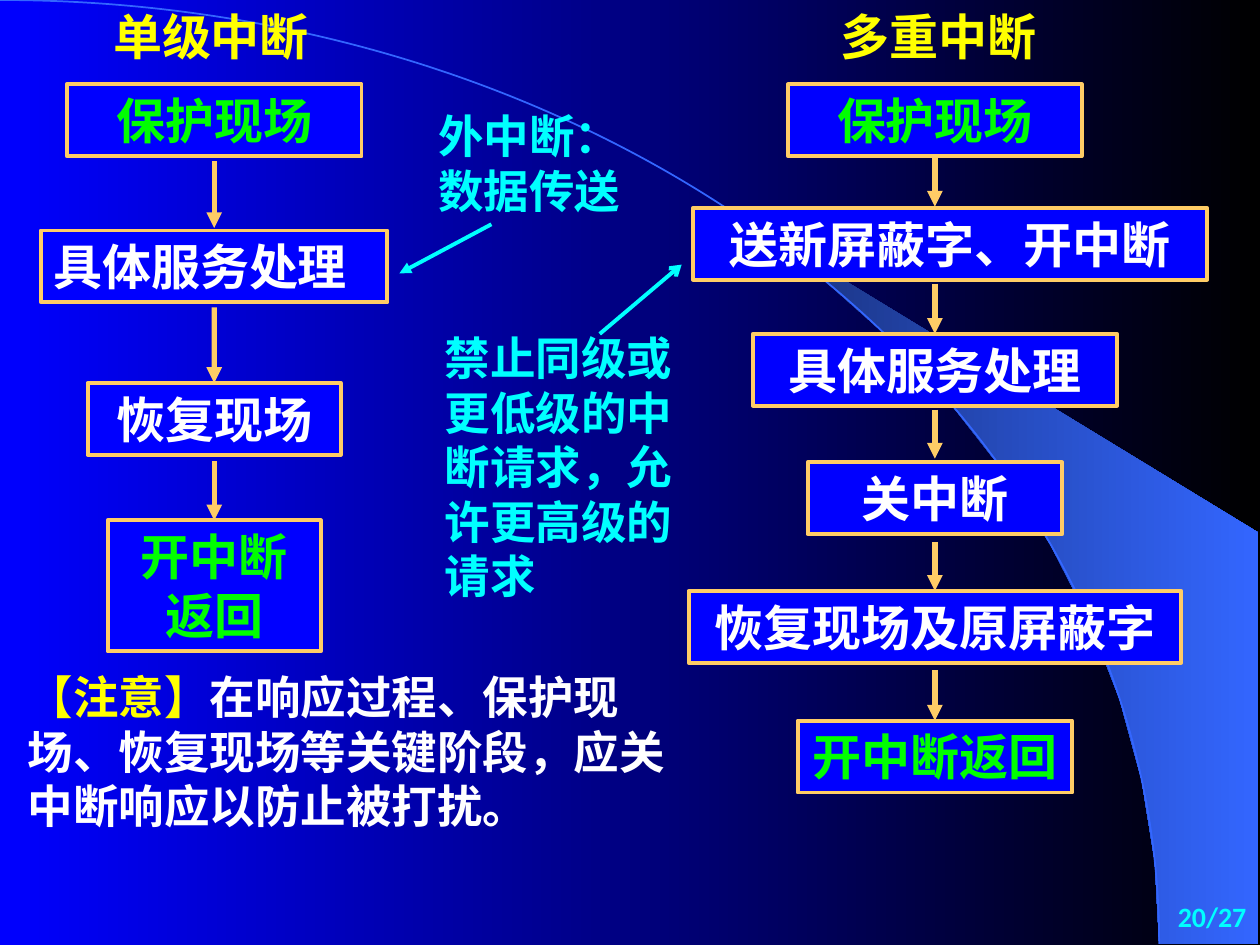
from math import cos, radians, sin

from lxml import etree
from pptx import Presentation
from pptx.dml.color import RGBColor
from pptx.enum import shapes, text
from pptx.oxml.ns import qn
from pptx.util import Inches, Pt

CJK = "Noto Sans CJK SC"
BLUE, GOLD, CYAN = "0000FF", "FFCC66", "00FFFF"
YELLOW, GREEN, WHITE = "FFFF00", "00FF00", "FFFFFF"
BOX_HEIGHT = 0.57


def rgb(value):
    return RGBColor.from_string(value)


def fill_gradient(fill, start, end):
    fill.gradient()
    fill.gradient_angle = 0
    for stop, color in zip(fill.gradient_stops, (start, end)):
        stop.color.rgb = rgb(color)


def write(shape, paragraphs, size, align="LEFT", font=CJK):
    """Fill a shape with paragraphs, each a list of (text, colour) runs."""
    frame = shape.text_frame
    frame.word_wrap = True
    frame.vertical_anchor = text.MSO_ANCHOR.TOP
    frame.margin_left = frame.margin_right = Inches(0.1)
    frame.margin_top = frame.margin_bottom = Inches(0.05)
    for index, runs in enumerate(paragraphs):
        paragraph = frame.paragraphs[0] if index == 0 else frame.add_paragraph()
        paragraph.alignment = text.PP_ALIGN[align]
        paragraph.line_spacing = Pt(size * 1.2)
        # Punctuation stays inside the margins
        paragraph._p.get_or_add_pPr().set("hangingPunct", "0")
        for words, color in runs:
            run = paragraph.add_run()
            run.text = words
            run.font.size, run.font.bold = Pt(size), True
            run.font.name = font
            run.font.color.rgb = rgb(color)
            east_asian = etree.SubElement(run.font._element, qn("a:ea"))
            east_asian.set("typeface", CJK)


def add_text(slide, box, paragraphs, size, **options):
    label = slide.shapes.add_textbox(*map(Inches, box))
    write(label, paragraphs, size, **options)


def add_arrow(slide, start, end, color, width, head="triangle"):
    arrow = slide.shapes.add_connector(
        shapes.MSO_CONNECTOR.STRAIGHT, *map(Inches, (*start, *end)))
    arrow.line.color.rgb = rgb(color)
    arrow.line.width = Pt(width)
    etree.SubElement(arrow.line._get_or_add_ln(), qn("a:tailEnd")).set("type", head)
    etree.SubElement(arrow._element.spPr, qn("a:effectLst"))
    return arrow


def add_step(slide, box, words, color, align="CENTER"):
    step = slide.shapes.add_shape(shapes.MSO_SHAPE.RECTANGLE, *map(Inches, box))
    step.shadow.inherit = False
    step.fill.solid()
    step.fill.fore_color.rgb = rgb(BLUE)
    step.line.color.rgb = rgb(GOLD)
    step.line.width = Pt(2.25)
    write(step, [[(words, color)]], 28, align)
    return step


def add_flow(slide, center, title, title_left, title_width, steps, arrows):
    """One column: title, steps (text, colour, x shift, top, width, height,
    alignment) and the arrows (start, end) between them."""
    add_text(slide, (title_left, 0, title_width, BOX_HEIGHT),
             [[(title, YELLOW)]], 28, align="CENTER")
    boxes = [add_step(slide, (center + shift - width / 2, top, width, height),
                      words, color, align)
             for words, color, shift, top, width, height, align in steps]
    for index, (start, end) in enumerate(arrows):
        arrow = add_arrow(slide, (center, start), (center, end), GOLD, 3)
        _, _, shift, top, _, height, _ = steps[index]
        if shift == 0 and abs(top + height - start) < 0.02:
            arrow.begin_connect(boxes[index], 2)
        _, _, shift, top, *_ = steps[index + 1]
        if shift == 0 and abs(top - end) < 0.02:
            arrow.end_connect(boxes[index + 1], 0)


def add_outline(slide, points, close):
    points = [(Inches(x), Inches(y)) for x, y in points]
    builder = slide.shapes.build_freeform(*points[0])
    builder.add_line_segments(points[1:], close=close)
    shape = builder.convert_to_shape()
    shape.shadow.inherit = False
    return shape


def add_backdrop(slide, width, height):
    """Gradient background with a quarter ellipse and a wedge of light."""
    fill_gradient(slide.background.fill, BLUE, "000000")
    radius = 9.2
    rim = [(radius * sin(radians(a)), height * (1 - cos(radians(a))))
           for a in range(90, 39, -5)]
    wedge = add_outline(
        slide, [rim[0], (width, height), (width, 4.23), (5.89, 1.73)] + rim[:0:-1][1:],
        True)
    fill_gradient(wedge.fill, "182F76", "3366FF")
    wedge.line.fill.background()

    # The rim is one cubic curve in place of the straight segment
    curve = add_outline(slide, [(0, 0), (radius, height)], False)
    segment = next(curve._element.iter(qn("a:lnTo")))
    bend = etree.Element(qn("a:cubicBezTo"))
    for x, y in ((5.08, 0), (radius, 3.35), (radius, height)):
        point = etree.SubElement(bend, qn("a:pt"))
        point.set("x", str(Inches(x)))
        point.set("y", str(Inches(y)))
    segment.getparent().replace(segment, bend)
    curve.fill.background()
    curve.line.color.rgb = rgb("3366FF")
    curve.line.width = Pt(1)


def add_notes(slide):
    """Remarks between the two columns and the caution below."""
    add_text(slide, (3.38, 0.81, 2.25, 0.97),
             [[("外中断：", CYAN)], [("数据传送", CYAN)]], 26)
    add_text(slide, (3.43, 2.57, 2.3, 2.27),
             [[("禁止同级或更低级的中断请求，允许更高级的请求", CYAN)]], 26)
    add_arrow(slide, (3.9, 1.78), (3.17, 2.17), CYAN, 2.25)
    add_arrow(slide, (4.76, 2.65), (5.41, 2.1), CYAN, 2.25, "arrow")
    add_text(slide, (0.12, 5.26, 5.31, 1.4),
             [[("【注意】", YELLOW),
               ("在响应过程、保护现场、恢复现场等关键阶段，应关中断响应以防止被打扰。", WHITE)]],
             26, font="Times New Roman")


def main():
    prs = Presentation()
    prs.slide_width, prs.slide_height = Inches(10), Inches(7.5)
    slide = prs.slides.add_slide(prs.slide_layouts[6])
    add_backdrop(slide, 9.99, 7.49)
    add_text(slide, (8.94, 7.09, 1.05, 0.39), [[("20/27", CYAN)]], 16,
             align="RIGHT", font="Calibri")

    # Single-level interrupt
    add_flow(slide, 1.7, "单级中断", 0.56, 2.23, [
        ("保护现场", GREEN, 0, 0.67, 2.34, BOX_HEIGHT, "CENTER"),
        ("具体服务处理", WHITE, 0, 1.83, 2.75, BOX_HEIGHT, "LEFT"),
        ("恢复现场", WHITE, 0, 3.04, 2.01, BOX_HEIGHT, "CENTER"),
        ("开中断返回", GREEN, 0, 4.13, 1.69, 1.04, "CENTER"),
    ], [(1.28, 1.81), (2.44, 3.04), (3.66, 4.14)])

    # Nested interrupts
    nested = [
        ("保护现场", GREEN, 0, 0.67, 2.33),
        ("送新屏蔽字、开中断", WHITE, 0.12, 1.65, 4.08),
        ("具体服务处理", WHITE, 0, 2.65, 2.89),
        ("关中断", WHITE, 0, 3.67, 2.02),
        ("恢复现场及原屏蔽字", WHITE, 0, 4.69, 3.91),
        ("开中断返回", GREEN, 0, 5.72, 2.18),
    ]
    add_flow(slide, 7.42, "多重中断", 6.43, 2.04,
             [(*step, BOX_HEIGHT, "CENTER") for step in nested],
             [(1.25, 1.64), (2.25, 2.65), (3.25, 3.64), (4.3, 4.69), (5.32, 5.72)])

    add_notes(slide)
    prs.save("out.pptx")


if __name__ == "__main__":
    main()
